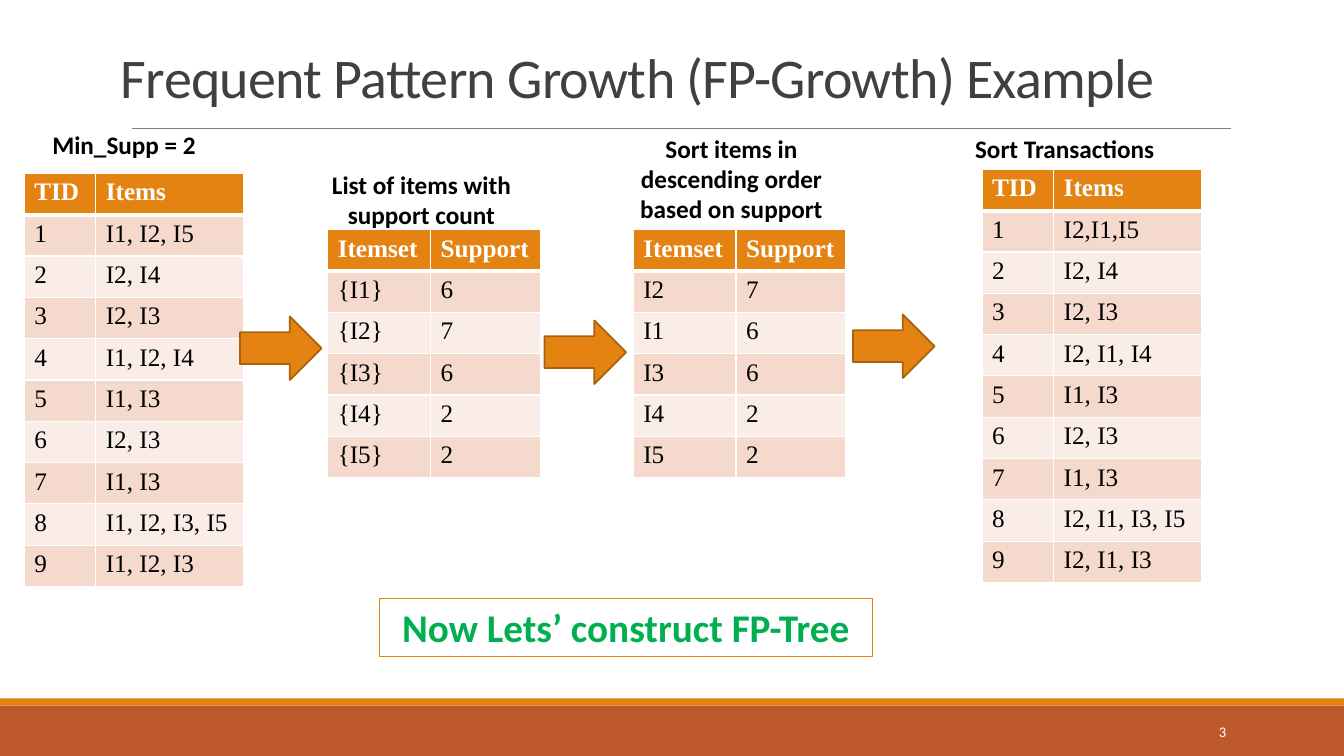
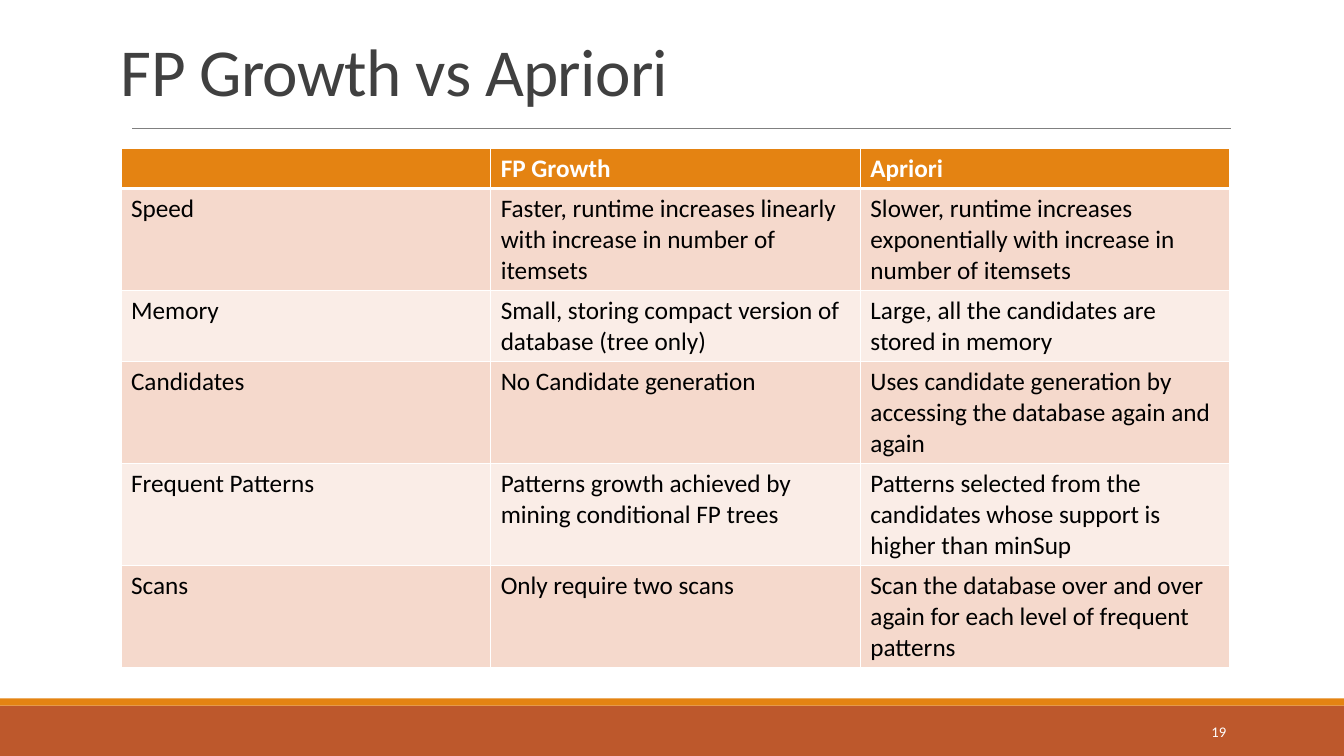
import pptx
import pptx.dml.color
import pptx.enum.shapes
import pptx.enum.text
import pptx.oxml
import pptx.oxml.ns
import pptx.util
import lxml.etree

Inches = pptx.util.Inches
Pt = pptx.util.Pt
SHAPES = pptx.enum.shapes.MSO_SHAPE
ALIGN = pptx.enum.text.PP_ALIGN
ANCHOR = pptx.enum.text.MSO_ANCHOR
AUTO_SIZE = pptx.enum.text.MSO_AUTO_SIZE

COLORS = {
    "white": "FFFFFF", "black": "000000", "title": "404040", "rule": "808080",
    "accent": "E48312", "accent_edge": "A9610D", "footer": "BD582C",
    "band_dark": "F5D9CC", "band_light": "FAEDE7", "green": "00B050",
}
SANS, SERIF = "Calibri", "Times New Roman"
FONTS = {
    "caption": {"name": SANS, "size": Pt(18), "bold": True, "color": "black"},
    "banner": {"name": SANS, "size": Pt(28), "bold": True, "color": "green"},
    "number": {"name": SANS, "size": Pt(10.5), "bold": False, "color": "white"},
}
ROW_HEIGHT = 0.41
ARROW_SIZE = (0.81, 0.63)


def rgb(name):
    return pptx.dml.color.RGBColor.from_string(COLORS[name])


def lengths(box):
    return [Inches(value) for value in box]


def format_font(font, values):
    for attribute, value in values.items():
        if attribute == "color":
            font.color.rgb = rgb(value)
        else:
            setattr(font, attribute, value)


def write_text(shape, text, font, align, **frame_values):
    frame = shape.text_frame
    for attribute, value in {"word_wrap": True, **frame_values}.items():
        setattr(frame, attribute, value)
    paragraph = frame.paragraphs[0]
    paragraph.alignment = align
    run = paragraph.add_run()
    run.text = text
    format_font(run.font, font)
    return paragraph, run


def add_text(slide, box, text, font, align, **frame_values):
    write_text(slide.shapes.add_textbox(*lengths(box)), text, font, align, **frame_values)


def add_block(slide, kind, box, fill=None, edge=None, edge_width=1):
    shape = slide.shapes.add_shape(kind, *lengths(box))
    shape.shadow.inherit = False
    if fill:
        shape.fill.solid()
        shape.fill.fore_color.rgb = rgb(fill)
    else:
        shape.fill.background()
    if edge:
        shape.line.color.rgb = rgb(edge)
        shape.line.width = Pt(edge_width)
    else:
        shape.line.fill.background()
    return shape


def set_borders(cell, widths):
    """Draw white cell borders; widths are points for left, right, top, bottom."""
    properties = cell._tc.get_or_add_tcPr()
    namespace = pptx.oxml.ns.nsdecls("a")
    for index, (side, width) in enumerate(zip("LRTB", widths)):
        properties.insert(index, pptx.oxml.parse_xml(
            f'<a:ln{side} {namespace} w="{Pt(width)}"><a:solidFill>'
            f'<a:srgbClr val="{COLORS["white"]}"/></a:solidFill></a:ln{side}>'))


def add_banded_table(slide, left, top, column_widths, rows, font_name, row_heights=None):
    row_heights = row_heights or [ROW_HEIGHT] * len(rows)
    box = (left, top, sum(column_widths), sum(row_heights))
    table = slide.shapes.add_table(len(rows), len(column_widths), *lengths(box)).table
    for column, width in zip(table.columns, column_widths):
        column.width = Inches(width)
    for row_index, (row, height, texts) in enumerate(zip(table.rows, row_heights, rows)):
        row.height = Inches(height)
        header = row_index == 0
        fill = "accent" if header else ("band_light", "band_dark")[row_index % 2]
        font = {"name": font_name, "size": Pt(18), "bold": header,
                "color": "white" if header else "black"}
        for cell, text in zip(row.cells, texts):
            cell.fill.solid()
            cell.fill.fore_color.rgb = rgb(fill)
            set_borders(cell, (1, 1, 3 if row_index == 1 else 1, 3 if header else 1))
            cell.text = text
            format_font(cell.text_frame.paragraphs[0].font, font)
            for run in cell.text_frame.paragraphs[0].runs:
                format_font(run.font, font)


def add_framed_slide(presentation, title, title_size, number):
    """Add a slide with the shared title, rule, footer bands and page number."""
    slide = presentation.slides.add_slide(presentation.slide_layouts[5])
    add_block(slide, SHAPES.RECTANGLE, (0, 7, 13.33, 0.5), "footer")
    add_block(slide, SHAPES.RECTANGLE, (0, 6.93, 13.33, 0.07), "accent")
    rule = slide.shapes.add_connector(
        pptx.enum.shapes.MSO_CONNECTOR.STRAIGHT, *lengths((1.31, 1.27, 12.21, 1.27)))
    rule.line.color.rgb = rgb("rule")
    rule.line.width = Pt(0.5)
    lxml.etree.SubElement(rule._element.spPr, pptx.oxml.ns.qn("a:effectLst"))

    heading = slide.shapes.title
    for attribute, value in zip(("left", "top", "width", "height"),
                                lengths((1.1, 0.06, 11, 1.08))):
        setattr(heading, attribute, value)
    paragraph, run = write_text(
        heading, title, {"name": SANS, "size": Pt(title_size), "color": "title"},
        ALIGN.LEFT, vertical_anchor=ANCHOR.BOTTOM, auto_size=AUTO_SIZE.NONE)
    paragraph.line_spacing = 0.85
    run._r.get_or_add_rPr().set("spc", "-50")

    add_text(slide, (10.83, 7.06, 1.43, 0.4), str(number), FONTS["number"],
             ALIGN.RIGHT, vertical_anchor=ANCHOR.MIDDLE)
    return slide


def add_stage(slide, left, top, column_widths, rows, caption, caption_box):
    """Add one step: a table at left, top and a caption box relative to it."""
    add_banded_table(slide, left, top, column_widths, rows, SERIF)
    offset_x, offset_y, width, height = caption_box
    add_text(slide, (left + offset_x, top + offset_y, width, height), caption,
             FONTS["caption"], ALIGN.CENTER, auto_size=AUTO_SIZE.SHAPE_TO_FIT_TEXT)


def transaction_rows(item_lists):
    return [("TID", "Items")] + [
        (str(number), items) for number, items in enumerate(item_lists, 1)]


def support_rows(counts):
    return [("Itemset", "Support")] + [(item, str(count)) for item, count in counts]


def build_example_slide(presentation):
    slide = add_framed_slide(
        presentation, "Frequent Pattern Growth (FP-Growth) Example", 40, 3)
    transaction_columns, support_columns = (0.71, 1.47), (1.02, 1.09)
    transactions = transaction_rows([
        "I1, I2, I5", "I2, I4", "I2, I3", "I1, I2, I4", "I1, I3",
        "I2, I3", "I1, I3", "I1, I2, I3, I5", "I1, I2, I3"])
    sorted_transactions = transaction_rows([
        "I2,I1,I5", "I2, I4", "I2, I3", "I2, I1, I4", "I1, I3",
        "I2, I3", "I1, I3", "I2, I1, I3, I5", "I2, I1, I3"])
    counts = {"I1": 6, "I2": 7, "I3": 6, "I4": 2, "I5": 2}
    item_counts = support_rows([(f"{{{item}}}", count) for item, count in counts.items()])
    sorted_counts = support_rows(
        sorted(counts.items(), key=lambda pair: pair[1], reverse=True))

    add_stage(slide, 0.24, 1.72, transaction_columns, transactions,
              "Min_Supp = 2", (0, -0.49, 1.98, 0.4))
    add_stage(slide, 3.25, 2.28, support_columns, item_counts,
              "List of items with support count", (-0.06, -0.65, 1.98, 0.71))
    add_stage(slide, 6.28, 2.28, support_columns, sorted_counts,
              "Sort items in descending order based on support", (-0.29, -1.01, 2.53, 1.01))
    add_stage(slide, 9.74, 1.68, transaction_columns, sorted_transactions,
              "Sort Transactions", (-0.17, -0.41, 1.98, 0.4))
    for left, top in ((2.38, 3.14), (5.4, 3.18), (8.46, 3.12)):
        add_block(slide, SHAPES.RIGHT_ARROW, (left, top, *ARROW_SIZE),
                  "accent", "accent_edge", 1.25)

    banner = add_block(slide, SHAPES.RECTANGLE, (3.76, 5.94, 4.89, 0.57),
                       edge="accent", edge_width=0.75)
    write_text(banner, "Now Lets’ construct FP-Tree", FONTS["banner"], ALIGN.CENTER,
               vertical_anchor=ANCHOR.TOP, auto_size=AUTO_SIZE.SHAPE_TO_FIT_TEXT)


def build_comparison_slide(presentation):
    slide = add_framed_slide(presentation, "FP Growth vs Apriori", 48, 19)
    rows = [
        ("", "FP Growth", "Apriori"),
        ("Speed",
         "Faster, runtime increases linearly with increase in number of itemsets",
         "Slower, runtime increases exponentially with increase in number of itemsets"),
        ("Memory",
         "Small, storing compact version of database (tree only)",
         "Large, all the candidates are stored in memory"),
        ("Candidates",
         "No Candidate generation",
         "Uses candidate generation by accessing the database again and again"),
        ("Frequent Patterns",
         "Patterns growth achieved by mining conditional FP trees",
         "Patterns selected from the candidates whose support is higher than minSup"),
        ("Scans",
         "Only require two scans",
         "Scan the database over and over again for each level of frequent patterns"),
    ]
    three_lines, two_lines = 1.01, 0.71
    heights = [0.4, three_lines, two_lines] + [three_lines] * 3
    add_banded_table(slide, 1.2, 1.47, [11 / 3] * 3, rows, SANS, heights)


def main():
    presentation = pptx.Presentation()
    presentation.slide_width = Inches(13.33)
    presentation.slide_height = Inches(7.5)
    build_example_slide(presentation)
    build_comparison_slide(presentation)
    presentation.save("out.pptx")


if __name__ == "__main__":
    main()
